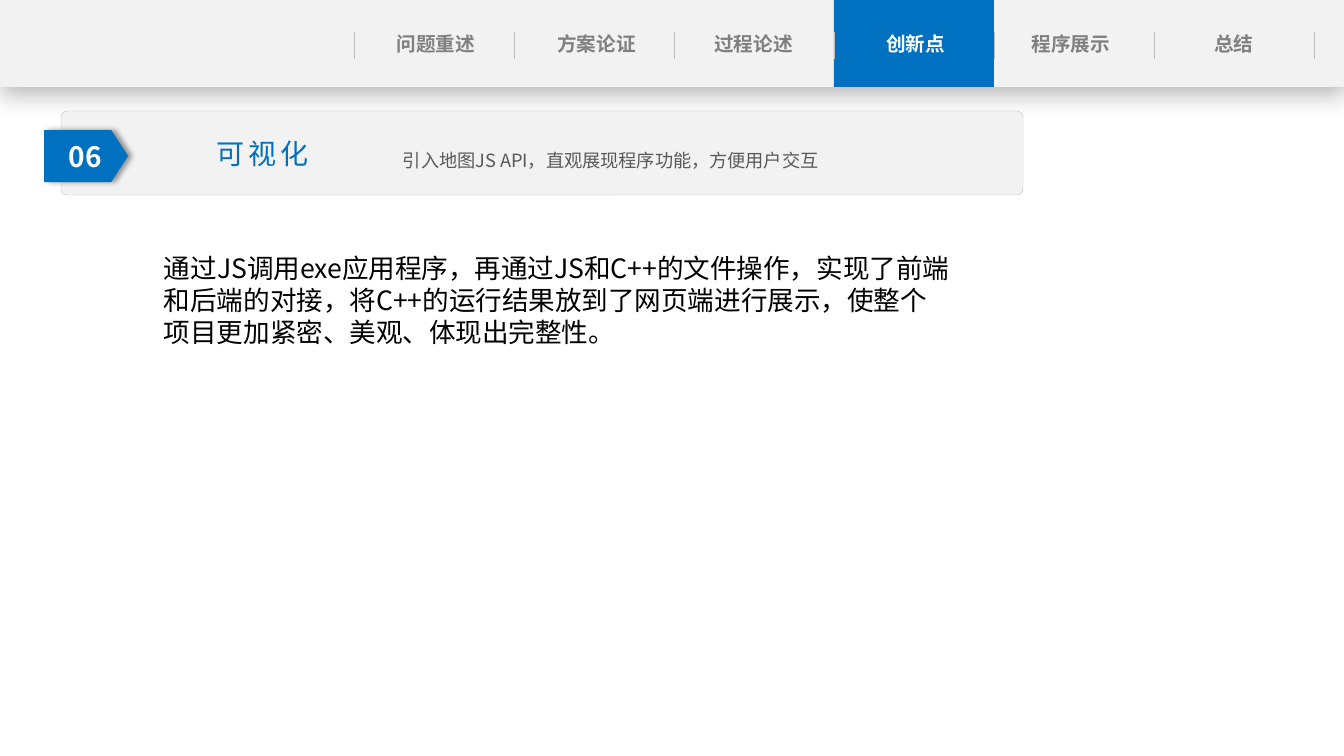
from lxml import etree
from pptx import Presentation
from pptx.dml.color import RGBColor
from pptx.enum.shapes import MSO_CONNECTOR, MSO_SHAPE
from pptx.enum.text import MSO_ANCHOR, MSO_AUTO_SIZE, PP_ALIGN
from pptx.oxml.ns import qn
from pptx.util import Pt

PX = 9071
CENTER, LEFT = PP_ALIGN.CENTER, PP_ALIGN.LEFT
RECT, ROUNDED = MSO_SHAPE.RECTANGLE, MSO_SHAPE.ROUNDED_RECTANGLE
OFFPAGE = MSO_SHAPE.FLOWCHART_OFFPAGE_CONNECTOR
STRAIGHT = MSO_CONNECTOR.STRAIGHT
THEME = {
    "font": "Noto Sans CJK SC",
    "blue": RGBColor.from_string("0070C0"),
    "panel": RGBColor.from_string("F2F2F2"),
    "rule": RGBColor.from_string("BFBFBF"),
    "muted": RGBColor.from_string("808080"),
    "note": RGBColor.from_string("595959"),
    "white": RGBColor.from_string("FFFFFF"),
    "black": RGBColor.from_string("000000"),
    "nav_size": 14, "title_size": 20, "note_size": 13, "body_size": 19,
}


def add_box(kind, x, y, w, h, color, shadow=None):
    sp = s.shapes.add_shape(kind, x * PX, y * PX, w * PX, h * PX)
    sp.fill.solid()
    sp.fill.fore_color.rgb = THEME[color]
    sp.line.fill.background()
    sp.shadow.inherit = False
    if shadow:
        alpha, blur, dist, angle = shadow
        effects = sp._element.spPr.find(qn("a:effectLst"))
        outer = etree.SubElement(
            effects, qn("a:outerShdw"), blurRad=str(Pt(blur)),
            dist=str(Pt(dist)), dir=str(angle * 60000), rotWithShape="0")
        black = etree.SubElement(outer, qn("a:srgbClr"), val="000000")
        etree.SubElement(black, qn("a:alpha"), val=str(alpha * 1000))
    return sp


def set_text(sp, text, size, color, align=CENTER, bold=False):
    tf = sp.text_frame
    tf.word_wrap = True
    tf.auto_size = MSO_AUTO_SIZE.NONE
    p = tf.paragraphs[0]
    p.text = text
    p.alignment = align
    p.font.name = THEME["font"]
    p.font.size = Pt(THEME[size])
    p.font.bold = bold
    p.font.color.rgb = THEME[color]
    props = p._p.pPr.find(qn("a:defRPr"))
    etree.SubElement(props, qn("a:ea"), typeface=THEME["font"])
    return p, props


prs = Presentation()
prs.slide_width, prs.slide_height = 1344 * PX, 756 * PX
s = prs.slides.add_slide(prs.slide_layouts[5])

add_box(RECT, 0, 0, 1344, 87, "panel", (29, 18, 4, 90))
add_box(RECT, 834, 0, 160, 87, "blue")

ACTIVE = "创新点"
NAV = [("问题重述", 362, 148), ("方案论证", 542, 109), ("过程论述", 673, 161),
       (ACTIVE, 866, 99), ("程序展示", 1026, 90), ("总结", 1160, 148)]
for label, x, w in NAV:
    sp = s.shapes.add_textbox(x * PX, 27 * PX, w * PX, 34 * PX)
    sp.text_frame.margin_left = sp.text_frame.margin_right = 0
    set_text(sp, label, "nav_size", "white" if label == ACTIVE else "muted", bold=True)

for i in range(len(NAV) + 1):
    x = (354 + 160 * i) * PX
    divider = s.shapes.add_connector(STRAIGHT, x, 32 * PX, x, 59 * PX)
    divider.line.color.rgb = THEME["rule"]
    divider.line.width = Pt(0.5)
    etree.SubElement(divider._element.spPr, qn("a:effectLst"))

panel = add_box(ROUNDED, 61, 111, 962, 84, "panel")
panel.adjustments[0] = 0.07
panel.line.color.rgb = THEME["rule"]
panel.line.width = Pt(0.25)

tag = add_box(OFFPAGE, 60, 114, 52, 84, "blue", (40, 4, 3, 0))
tag.rotation = 270

title = s.shapes.title
s.shapes.element.append(title._element)
title.left, title.top, title.width, title.height = 135 * PX, 130 * PX, 255 * PX, 46 * PX
title.text_frame.vertical_anchor = MSO_ANCHOR.MIDDLE
p, props = set_text(title, "可视化", "title_size", "blue")
props.set("spc", "300")

note = s.shapes.add_textbox(393 * PX, 133 * PX, 671 * PX, 39 * PX)
p, props = set_text(note, "引入地图JS API，直观展现程序功能，方便用户交互", "note_size", "note", LEFT)
p.line_spacing = 1.5

number = s.shapes.add_textbox(49 * PX, 135 * PX, 73 * PX, 44 * PX)
set_text(number, "06", "title_size", "white", bold=True)

body = s.shapes.add_textbox(154 * PX, 247 * PX, 806 * PX, 107 * PX)
set_text(body, "通过JS调用exe应用程序，再通过JS和C++的文件操作，实现了前端和后端的对接，"
         "将C++的运行结果放到了网页端进行展示，使整个项目更加紧密、美观、体现出完整性。",
         "body_size", "black", LEFT)

prs.save("out.pptx")
